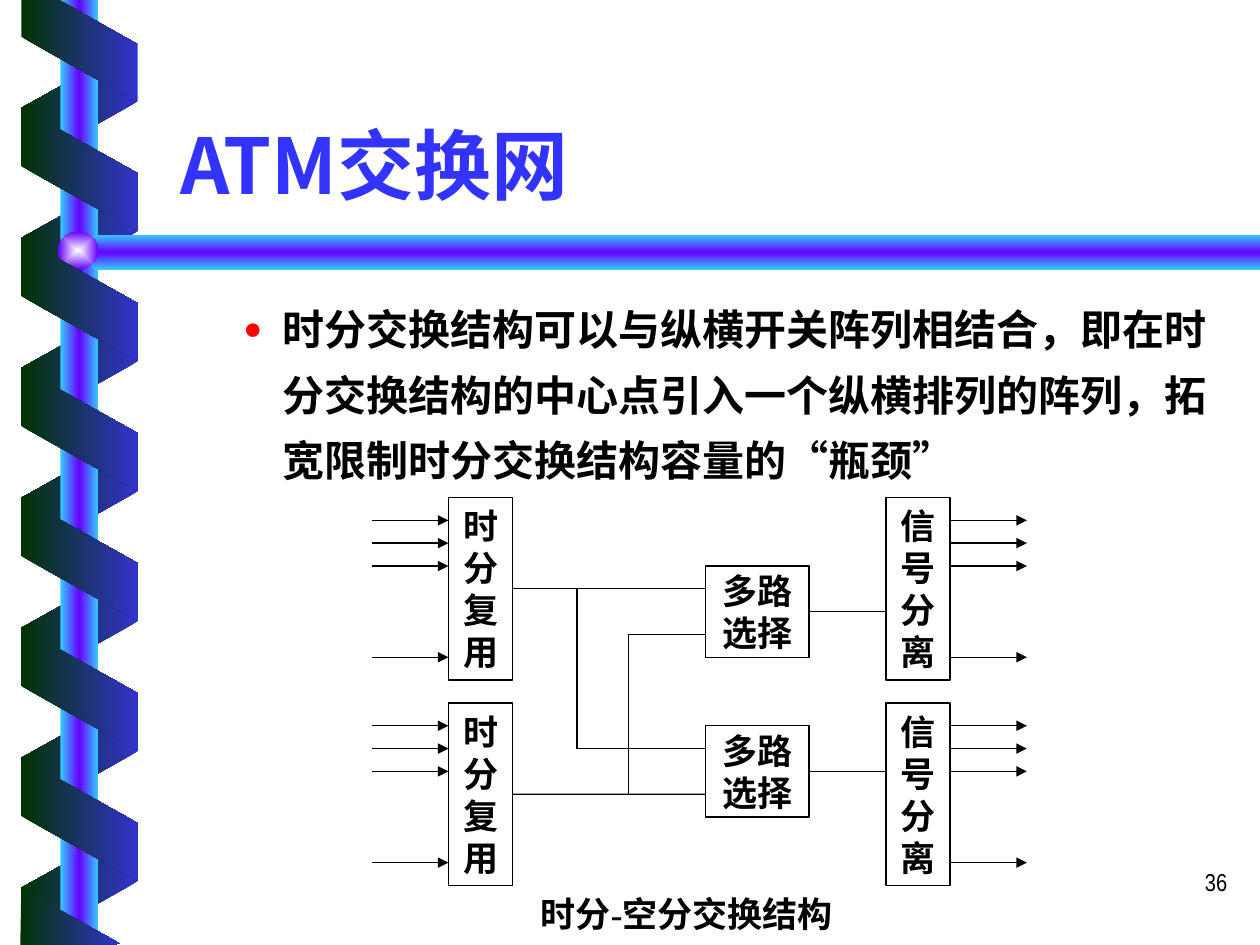
import pptx
import pptx.util
import pptx.oxml
import pptx.oxml.ns
import pptx.dml.color
import pptx.enum.shapes
import pptx.enum.text
from pptx.util import Cm

COLORS = {"green": "003300", "blue": "3333CC", "sky": "33CCFF", "violet": "6600FF",
          "glow": "FEFFFF", "title": "3333FF", "text": "000000", "bullet": "FF0000"}
CJK = "Noto Sans CJK SC"
MSO = pptx.enum.shapes.MSO_SHAPE
ALIGN = pptx.enum.text.PP_ALIGN
ANCHOR = pptx.enum.text.MSO_ANCHOR
qn = pptx.oxml.ns.qn
NS = pptx.oxml.ns.nsdecls("a")


def shade(s, names, direction='<a:lin ang="0" scaled="0"/>'):
    """Give a shape an even gradient without outline or shadow."""
    s.shadow.inherit = False
    s.line.fill.background()
    s.fill.background()
    stops = "".join(
        f'<a:gs pos="{i * 100000 // (len(names) - 1)}"><a:srgbClr val="{COLORS[n]}"/></a:gs>'
        for i, n in enumerate(names))
    grad = pptx.oxml.parse_xml(
        f'<a:gradFill {NS} rotWithShape="0"><a:gsLst>{stops}</a:gsLst>{direction}</a:gradFill>')
    spPr = s._element.spPr
    spPr.replace(spPr.find(qn("a:noFill")), grad)


def write(tf, lines, fmt, color="text", align=ALIGN.LEFT):
    """Fill a text frame with one formatted paragraph per line."""
    for i, line in enumerate(lines):
        p = tf.add_paragraph() if i else tf.paragraphs[0]
        p.alignment = align
        p.space_before = pptx.util.Pt(0)
        r = p.add_run()
        r.text = line
        for key, value in fmt.items():
            setattr(r.font, key, value)
        r.font.color.rgb = pptx.dml.color.RGBColor.from_string(COLORS[color])
        r._r.get_or_add_rPr().append(pptx.oxml.parse_xml(f'<a:ea {NS} typeface="{CJK}"/>'))


prs = pptx.Presentation()
prs.slide_width, prs.slide_height = Cm(25.4), Cm(19.05)
slide = prs.slides.add_slide(prs.slide_layouts[1])
shapes = slide.shapes
black = pptx.dml.color.RGBColor.from_string(COLORS["text"])

# Ribbon behind the pole
for i in range(7):
    s = shapes.add_shape(MSO.PARALLELOGRAM, Cm(0.36), Cm(0.94 + 2.62 * i), Cm(2.49), Cm(2.34))
    s.adjustments[0] = 0.56
    s.rotation = 90
    s._element.spPr.find(qn("a:xfrm")).set("flipH", "1")
    shade(s, ["blue", "green"])

# Pole, horizontal bar and ball
tube = ["sky", "violet", "sky"]
s = shapes.add_shape(MSO.RECTANGLE, Cm(1.22), 0, Cm(0.76), prs.slide_height)
shade(s, tube)
bar = [(25.4, 4.73), (1.93, 4.73), (1.52, 5.08), (1.93, 5.44), (25.4, 5.44)]
ribbon_top = [(0.43, 0), (0.43, 0.74), (2.77, 2.06), (2.77, 0.89), (1.19, 0)]
ribbon_end = [(2.43, 19.03), (0.43, 17.91), (0.41, 19.05)]
outlines = []
for points in (bar, ribbon_top, ribbon_end):
    points = [(Cm(x), Cm(y)) for x, y in points]
    fb = shapes.build_freeform(*points[0])
    fb.add_line_segments(points[1:], close=True)
    outlines.append(fb.convert_to_shape())
shade(outlines[0], tube, '<a:lin ang="5400000" scaled="0"/>')
s = shapes.add_shape(MSO.OVAL, Cm(1.17), Cm(4.67), Cm(0.81), Cm(0.76))
shade(s, ["glow", "violet"],
      '<a:path path="rect"><a:fillToRect l="50000" t="50000" r="50000" b="50000"/></a:path>')

# Ribbon in front of the pole
for s in outlines[1:]:
    shade(s, ["green", "blue"])
    shapes._spTree.append(s._element)
for i in range(6):
    s = shapes.add_shape(MSO.PARALLELOGRAM, Cm(0.36), Cm(2.24 + 2.62 * i), Cm(2.49), Cm(2.36))
    s.adjustments[0] = 0.56
    s.rotation = 270
    shade(s, ["green", "blue"])

# Title
heading = {"size": pptx.util.Pt(44), "name": CJK, "bold": True}
title = shapes.title
title.left, title.top, title.width, title.height = Cm(3.38), Cm(1.17), Cm(21.59), Cm(3.18)
tf = title.text_frame
tf.vertical_anchor = ANCHOR.BOTTOM
tf.auto_size = pptx.enum.text.MSO_AUTO_SIZE.NONE
write(tf, ["ATM交换网"], heading, "title")

# Bullet text
body = slide.placeholders[1]
body.left, body.top, body.width, body.height = Cm(3.38), Cm(5.69), Cm(21.59), Cm(4.24)
tf = body.text_frame
tf.auto_size = pptx.enum.text.MSO_AUTO_SIZE.NONE
p = tf.paragraphs[0]
p.level = 1
p.line_spacing = 1.3
pPr = p._p.get_or_add_pPr()
pPr.set("marL", str(Cm(2.06)))
pPr.set("indent", str(Cm(-0.79)))
for xml in (f'<a:buClr {NS}><a:srgbClr val="{COLORS["bullet"]}"/></a:buClr>',
            f'<a:buSzPct {NS} val="75000"/>', f'<a:buChar {NS} char="●"/>'):
    pPr.append(pptx.oxml.parse_xml(xml))
write(tf, ["时分交换结构可以与纵横开关阵列相结合，即在时分交换结构的中心点引入一个"
           "纵横排列的阵列，拓宽限制时分交换结构容量的“瓶颈”"],
      {"size": pptx.util.Pt(24), "name": CJK, "bold": True})

# Diagram grid: vertical steps, and the x of each column edge
ys = [Cm(10.03 + 0.46 * i) for i in range(18)]
x_in, x_mux, x_mux_end, x_down, x_up, x_sel, x_sel_end, x_demux, x_demux_end, x_out = [
    Cm(x) for x in (7.5, 9.04, 10.34, 11.63, 12.67, 14.22, 16.31, 17.86, 19.15, 20.7)]
label = {"size": pptx.util.Pt(20), "name": "Times New Roman", "bold": True}

# Diagram boxes: two rows of multiplexer, selector and demultiplexer
boxes = {}
for row, (top, sel_top) in enumerate([(0, 3), (9, 10)]):
    for name, left, right, first, steps, lines in [
            ("mux", x_mux, x_mux_end, top, 8, "时分复用"),
            ("sel", x_sel, x_sel_end, sel_top, 4, ["多路", "选择"]),
            ("demux", x_demux, x_demux_end, top, 8, "信号分离")]:
        s = shapes.add_shape(MSO.RECTANGLE, left, ys[first], right - left,
                             ys[first + steps] - ys[first])
        s.shadow.inherit = False
        s.fill.background()
        s.line.color.rgb = black
        s.line.width = pptx.util.Pt(0.75)
        tf = s.text_frame
        tf.word_wrap = False
        tf.vertical_anchor = ANCHOR.MIDDLE
        write(tf, lines, label, align=ALIGN.CENTER)
        boxes[name, row] = s

# Diagram lines: from, to, arrowhead, box whose right side it starts from
links = [(x_in, y, x_mux, y, True, None) for y in
         [ys[top + i] for top in (0, 9) for i in (1, 2, 3, 7)]]
links += [(x_demux_end, y, x_out, y, True, None) for _, y, *_ in links]
links += [
    (x_mux_end, ys[4], x_sel, ys[4], False, boxes["mux", 0]),
    (x_mux_end, ys[13], x_sel, ys[13], False, boxes["mux", 1]),
    (x_sel_end, ys[5], x_demux, ys[5], False, boxes["sel", 0]),
    (x_sel_end, ys[12], x_demux, ys[12], False, boxes["sel", 1]),
    (x_sel, ys[6], x_up, ys[6], False, None),
    (x_up, ys[6], x_up, ys[13], False, None),
    (x_sel, ys[11], x_down, ys[11], False, None),
    (x_down, ys[4], x_down, ys[11], False, None),
]
for x1, y1, x2, y2, arrow, start in links:
    c = shapes.add_connector(pptx.enum.shapes.MSO_CONNECTOR.STRAIGHT, x1, y1, x2, y2)
    c.line.color.rgb = black
    c.line.width = pptx.util.Pt(0.75)
    if arrow:
        c.line._get_or_add_ln().append(pptx.oxml.parse_xml(f'<a:tailEnd {NS} type="triangle"/>'))
    c._element.spPr.append(pptx.oxml.parse_xml(f"<a:effectLst {NS}/>"))
    if start is not None:
        c.begin_connect(start, 3)

# Caption and slide number
number = {"size": pptx.util.Pt(14), "name": "Arial Narrow"}
for x, y, w, h, text, fmt, align in [
        (9.83, 17.86, 8.03, 1.12, "时分-空分交换结构", label, ALIGN.CENTER),
        (19.71, 17.35, 5.28, 1.27, "36", number, ALIGN.RIGHT)]:
    tf = shapes.add_textbox(Cm(x), Cm(y), Cm(w), Cm(h)).text_frame
    tf.word_wrap = True
    write(tf, [text], fmt, align=align)

prs.save("out.pptx")
